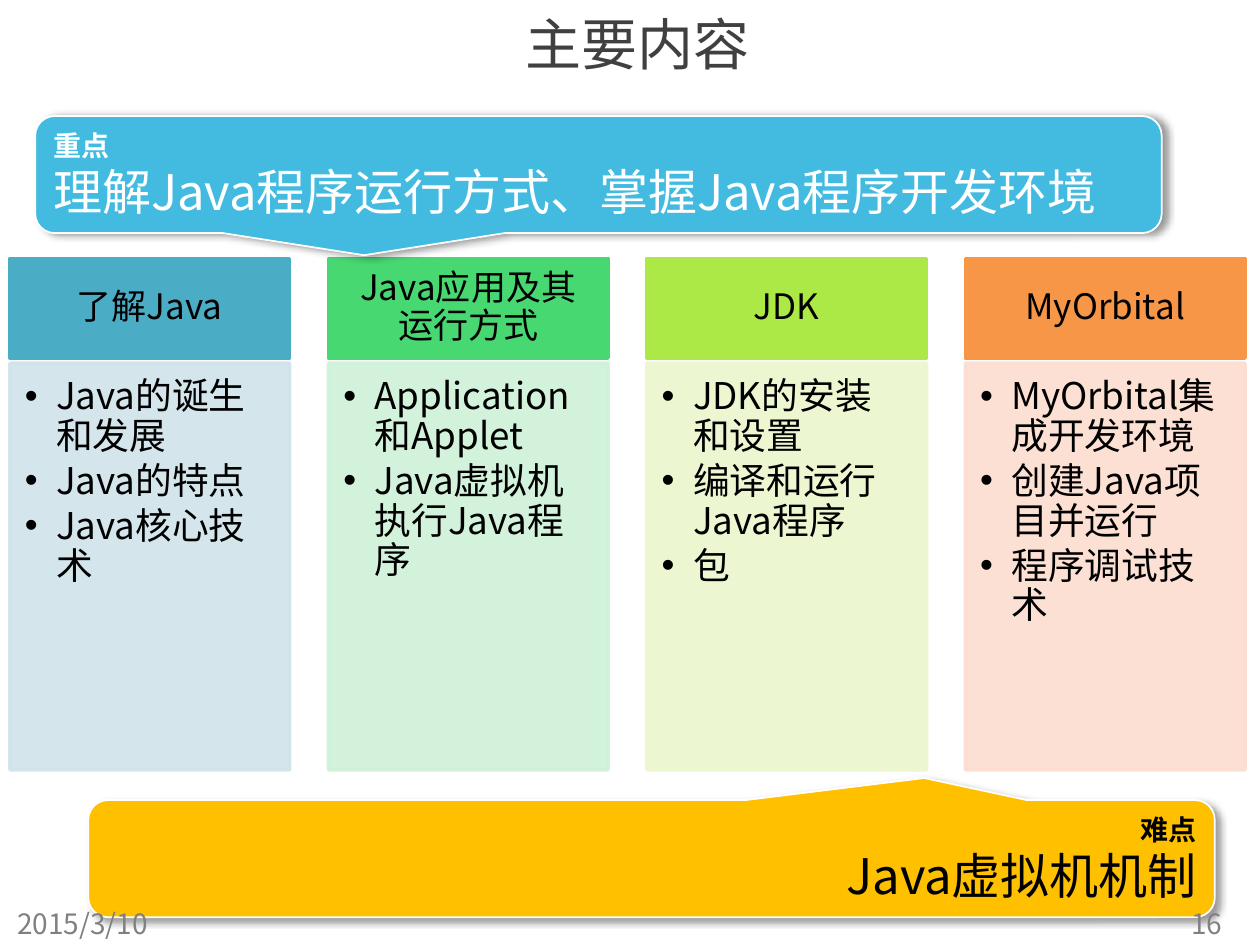
import pptx
import pptx.util
import pptx.dml.color
import pptx.enum.shapes
import pptx.enum.text
import pptx.oxml
import pptx.oxml.ns

Cm = pptx.util.Cm
Pt = pptx.util.Pt
KIND = pptx.enum.shapes.MSO_SHAPE
ALIGN = pptx.enum.text.PP_ALIGN
ANCHOR = pptx.enum.text.MSO_ANCHOR
FIT = pptx.enum.text.MSO_AUTO_SIZE
NS = pptx.oxml.ns.nsdecls("a")

HUES = {
    "title": "404040", "text": "000000", "white": "FFFFFF", "note": "808080",
    "key": "43BBE1", "hard": "FFC000",
    "blue": "4BACC6", "sky": "D0E3EA",
    "green": "47D872", "mint": "CFF1D9",
    "lime": "ACE946", "pale": "EBF7CE",
    "orange": "F79646", "peach": "FCDDCF",
}

COLS = [
    ("了解Java", "blue", "sky", ["Java的诞生和发展", "Java的特点", "Java核心技术"]),
    ("Java应用及其运行方式", "green", "mint", ["Application和Applet", "Java虚拟机执行Java程序"]),
    ("JDK", "lime", "pale", ["JDK的安装和设置", "编译和运行Java程序", "包"]),
    ("MyOrbital", "orange", "peach", ["MyOrbital集成开发环境", "创建Java项目并运行", "程序调试技术"]),
]


def hue(name):
    return pptx.dml.color.RGBColor.from_string(HUES[name])


def glow(blur, dist, turn):
    return pptx.oxml.parse_xml(
        f'<a:outerShdw {NS} blurRad="{Pt(blur)}" dist="{Pt(dist)}" dir="{turn * 60000}" '
        'algn="tl" rotWithShape="0"><a:srgbClr val="000000"><a:alpha val="40000"/>'
        '</a:srgbClr></a:outerShdw>')


class Deck:
    font = "Noto Sans CJK SC"

    def __init__(self):
        self.file = pptx.Presentation()
        self.file.slide_width = Cm(25.4)
        self.file.slide_height = Cm(19.05)
        self.slide = self.file.slides.add_slide(self.file.slide_layouts[4])

    def place(self, shape, box):
        shape.left, shape.top, shape.width, shape.height = map(Cm, box)

    def frame(self, shape, pads=(0.25, 0.13, 0.25, 0.13), anchor=ANCHOR.MIDDLE):
        frame = shape.text_frame
        frame.word_wrap = True
        frame.auto_size = FIT.NONE
        frame.vertical_anchor = anchor
        (frame.margin_left, frame.margin_top,
         frame.margin_right, frame.margin_bottom) = map(Cm, pads)
        return frame

    def run(self, para, text, size, color, bold=False, shade=False):
        run = para.add_run()
        run.text = text
        font = run.font
        font.size, font.bold = Pt(size), bold
        font.color.rgb = hue(color)
        props = run._r.get_or_add_rPr()
        if shade:
            list_ = pptx.oxml.parse_xml(f"<a:effectLst {NS}/>")
            list_.append(glow(4, 3, 45))
            props.append(list_)
        font.name = self.font
        props.append(pptx.oxml.parse_xml(f'<a:ea {NS} typeface="{self.font}"/>'))

    def paint(self, shape, fill, edge, width, alpha=None):
        shape.fill.solid()
        shape.fill.fore_color.rgb = hue(fill)
        shape.line.color.rgb = hue(edge)
        shape.line.width = Pt(width)
        if alpha:
            for tone in shape._element.spPr.iter(pptx.oxml.ns.qn("a:srgbClr")):
                tone.append(pptx.oxml.parse_xml(f'<a:alpha {NS} val="{alpha * 1000}"/>'))

    def title(self, text, box):
        shape = self.slide.shapes.title
        self.place(shape, box)
        para = self.frame(shape).paragraphs[0]
        para.alignment = ALIGN.CENTER
        self.run(para, text, 32, "title", shade=True)

    def head(self, text, fill, box):
        shape = self.slide.shapes.add_shape(KIND.RECTANGLE, *map(Cm, box))
        shape.shadow.inherit = False
        self.paint(shape, fill, fill, 2)
        para = self.frame(shape, (0.4, 0.23, 0.4, 0.23)).paragraphs[0]
        para.alignment = ALIGN.CENTER
        para.line_spacing = 0.9
        self.run(para, text, 20, "text")

    def items(self, index, lines, fill, box):
        shape = self.slide.placeholders[index]
        self.place(shape, box)
        self.paint(shape, fill, fill, 2, alpha=90)
        frame = self.frame(shape, (0.3, 0.3, 0.4, 0.45), ANCHOR.TOP)
        for rank, line in enumerate(lines):
            para = frame.add_paragraph() if rank else frame.paragraphs[0]
            para.line_spacing = 0.9
            para.space_before, para.space_after = Pt(0), Pt(3)
            props = para._p.get_or_add_pPr()
            props.set("marL", str(Cm(0.63)))
            props.set("indent", str(-Cm(0.63)))
            props.append(pptx.oxml.parse_xml(f'<a:buFont {NS} typeface="Arial"/>'))
            props.append(pptx.oxml.parse_xml(f'<a:buChar {NS} char="•"/>'))
            self.run(para, line, 21, "text")

    def callout(self, label, text, fill, color, align, tip, turn, box):
        shape = self.slide.shapes.add_shape(KIND.ROUNDED_RECTANGULAR_CALLOUT, *map(Cm, box))
        for rank, value in enumerate((*tip, 0.167)):
            shape.adjustments[rank] = value
        self.paint(shape, fill, "white", 1)
        shape.shadow.inherit = False
        shape._element.spPr.find(pptx.oxml.ns.qn("a:effectLst")).append(glow(4, 3, turn))
        frame = self.frame(shape)
        first, second = frame.paragraphs[0], frame.add_paragraph()
        first.alignment = second.alignment = align
        self.run(first, label, 16, color, bold=True)
        self.run(second, text, 28, color)

    def note(self, text, align, box):
        shape = self.slide.shapes.add_textbox(*map(Cm, box))
        para = self.frame(shape).paragraphs[0]
        para.alignment = align
        self.run(para, text, 16, "note")


def main():
    deck = Deck()
    deck.title("主要内容", (1.83, 0, 22.05, 1.73))
    for rank, (name, dark, light, lines) in enumerate(COLS):
        left = 0.2 + rank * 6.42
        deck.head(name, dark, (left, 5.21, 5.64, 2.01))
        deck.items(rank + 1, lines, light, (left, 7.32, 5.64, 8.2))
    deck.callout("重点", "理解Java程序运行方式、掌握Java程序开发环境", "key", "white",
                 ALIGN.LEFT, (-0.208, 0.689), 0, (0.71, 2.34, 22.71, 2.36))
    deck.callout("难点", "Java虚拟机机制", "hard", "text",
                 ALIGN.RIGHT, (0.242, -0.689), 45, (1.78, 16.13, 22.71, 2.36))
    deck.note("16", ALIGN.RIGHT, (18.97, 18.11, 5.92, 1.02))
    deck.note("2015/3/10", ALIGN.LEFT, (0.1, 18.11, 5.92, 1.02))
    deck.file.save("out.pptx")


if __name__ == "__main__":
    main()
